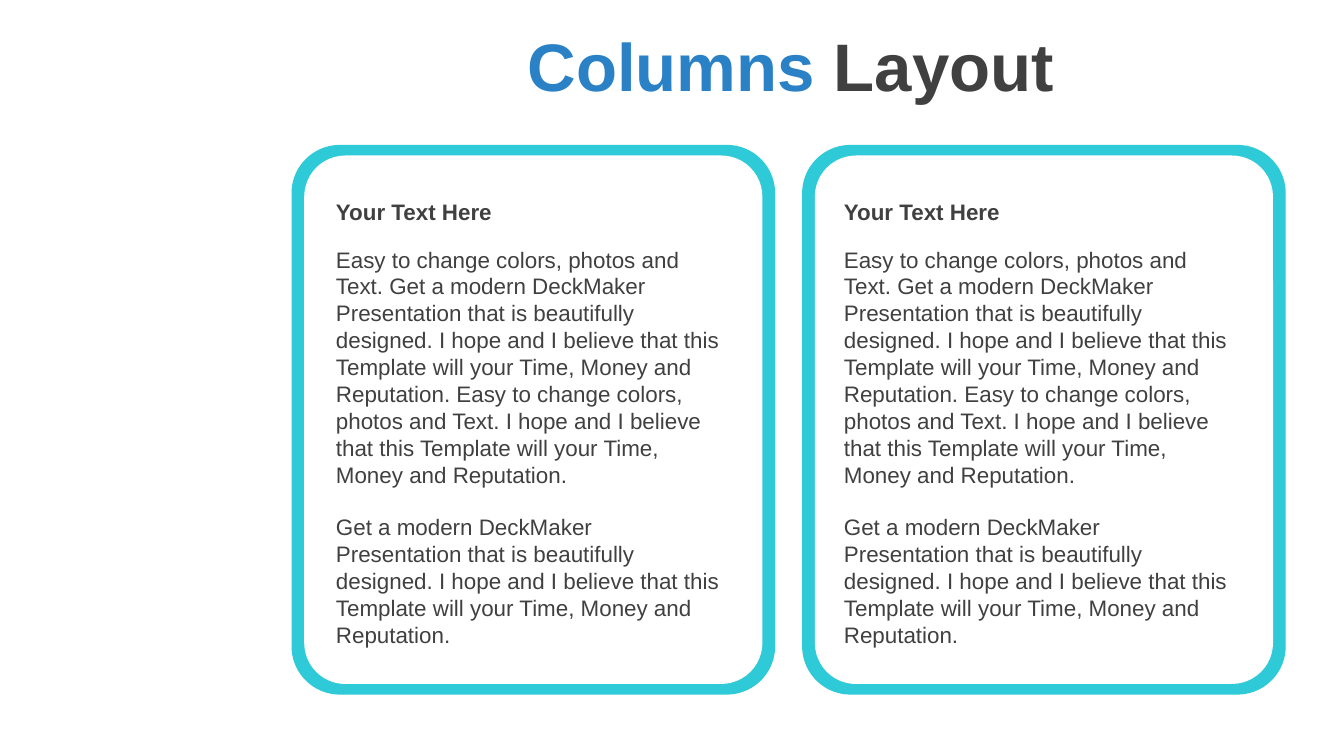
from pptx import Presentation
from pptx.dml.color import RGBColor
from pptx.enum.shapes import MSO_SHAPE as Shape
from pptx.enum.text import MSO_ANCHOR as Anchor, MSO_AUTO_SIZE as AutoSize, PP_ALIGN as Align
from pptx.util import Cm, Pt
from dataclasses import dataclass


@dataclass(frozen=True)
class Theme:
    font: str = "Arial"
    accent: str = "2A81C6"
    dark: str = "404040"
    frame: str = "2ECAD7"
    paper: str = "FFFFFF"
    title_size: float = 36
    body_size: float = 12
    para_gap: float = 13.8


T = Theme()

TITLE = [("Columns ", T.accent), ("Layout", T.dark)]
PITCH = "Get a modern DeckMaker Presentation that is beautifully designed. "
HOPE = "I hope and I believe that this Template will your Time, Money and Reputation."
BODY = [
    "Easy to change colors, photos and Text. " + PITCH + HOPE
    + " Easy to change colors, photos and Text. " + HOPE,
    PITCH + HOPE,
]
COLUMNS = [
    {"heading": "Your Text Here", "body": BODY},
    {"heading": "Your Text Here", "body": BODY},
]

CARD_X, CARD_Y, CARD_W, CARD_H, CARD_STEP = 5.51, 2.74, 9.14, 10.39, 9.65
EDGE_X, EDGE_Y = 0.24, 0.2
TEXT_X, TEXT_W, TEXT_STEP = 6.1, 7.8, 9.6
HEADING_Y, HEADING_H = 3.63, 0.77
BODY_Y, BODY_H = 4.52, 7.95


def add_text(s, paragraphs, x, y, w, h, size=T.body_size, bold=False,
             align=Align.LEFT, anchor=Anchor.TOP, fit=AutoSize.SHAPE_TO_FIT_TEXT):
    tf = s.shapes.add_textbox(Cm(x), Cm(y), Cm(w), Cm(h)).text_frame
    tf.word_wrap = True
    tf.auto_size = fit
    tf.vertical_anchor = anchor
    for i, runs in enumerate(paragraphs):
        p = tf.add_paragraph() if i else tf.paragraphs[0]
        p.alignment = align
        if i:
            p.space_before = Pt(T.para_gap)
        for text, color in runs:
            r = p.add_run()
            r.text = text
            r.font.name = T.font
            r.font.size = Pt(size)
            r.font.bold = bold
            r.font.color.rgb = RGBColor.from_string(color)


def add_panel(s, x, y, w, h, color, rounding):
    sp = s.shapes.add_shape(Shape.ROUNDED_RECTANGLE, Cm(x), Cm(y), Cm(w), Cm(h))
    sp.adjustments[0] = rounding
    sp.shadow.inherit = False
    sp.fill.solid()
    sp.fill.fore_color.rgb = RGBColor.from_string(color)
    sp.line.fill.background()


def main():
    prs = Presentation()
    prs.slide_width, prs.slide_height = Cm(25.4), Cm(14.29)
    s = prs.slides.add_slide(prs.slide_layouts[6])

    add_text(s, [TITLE], 4.5, 0, 20.9, 2.46, size=T.title_size, bold=True,
             align=Align.CENTER, anchor=Anchor.MIDDLE, fit=AutoSize.NONE)

    for i, column in enumerate(COLUMNS):
        x = CARD_X + i * CARD_STEP
        add_panel(s, x, CARD_Y, CARD_W, CARD_H, T.frame, 0.1)
        add_panel(s, x + EDGE_X, CARD_Y + EDGE_Y, CARD_W - 2 * EDGE_X,
                  CARD_H - 2 * EDGE_Y, T.paper, 0.09)
        x = TEXT_X + i * TEXT_STEP
        add_text(s, [[(column["heading"], T.dark)]],
                 x, HEADING_Y, TEXT_W, HEADING_H, bold=True)
        add_text(s, [[(text, T.dark)] for text in column["body"]],
                 x, BODY_Y, TEXT_W, BODY_H)

    prs.save("out.pptx")


if __name__ == "__main__":
    main()
